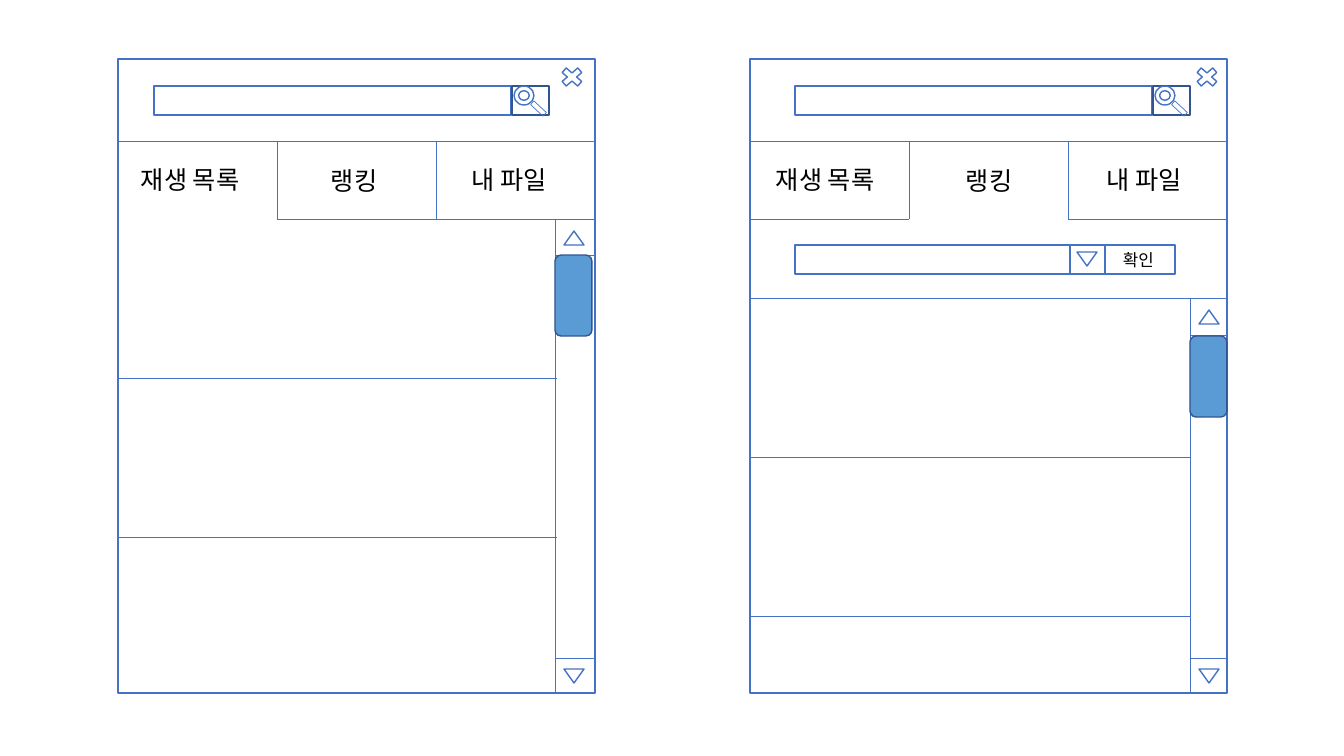
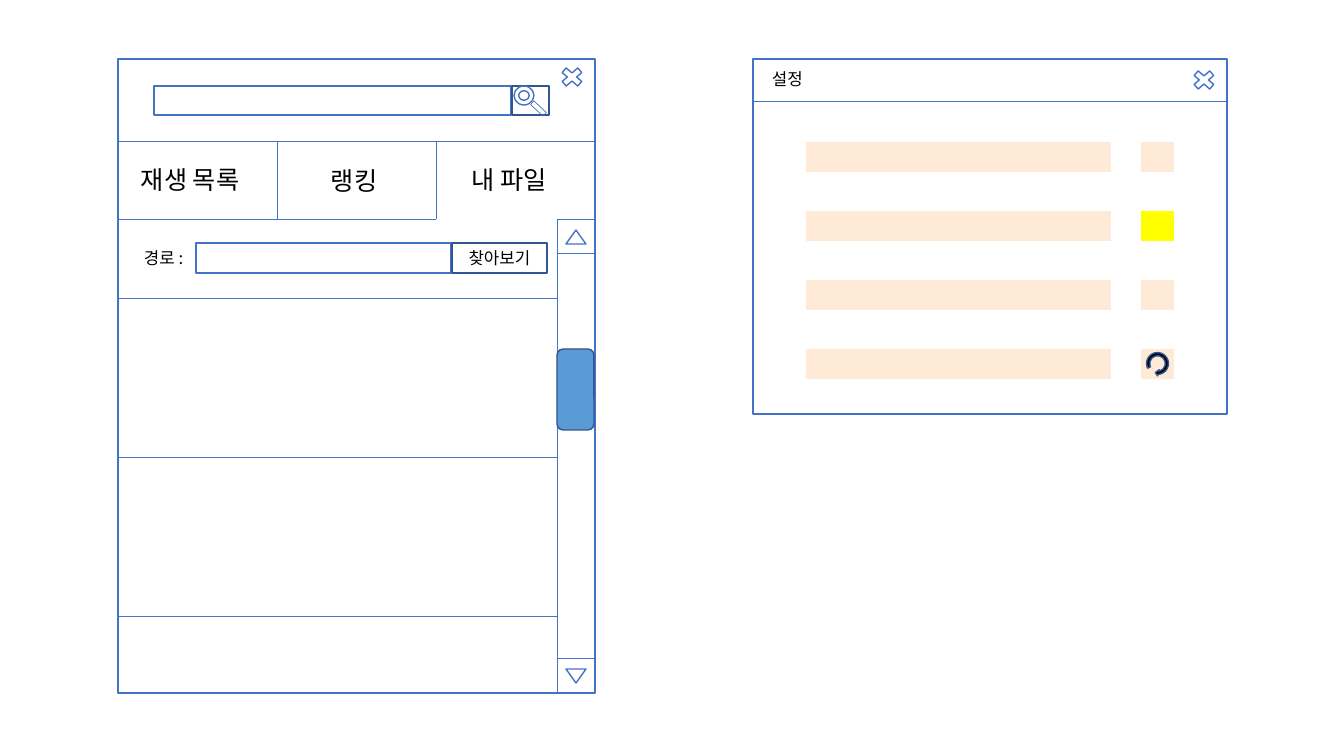
import dataclasses

import lxml.etree
import pptx
import pptx.dml.color
import pptx.enum.shapes
import pptx.enum.text
import pptx.oxml.ns
import pptx.util

SHAPE = pptx.enum.shapes.MSO_SHAPE
PIXELS_PER_INCH = 100.8
WINDOW_TOP, WINDOW_BOTTOM = 59, 693
WINDOW_WIDTH = 477
TAB_TOP, TAB_BOTTOM, TAB_WIDTH = 141, 219, 159
TAB_LABELS = (("재생 목록", 13, 159, 134), ("랭킹", 203, 160, 109), ("내 파일", 344, 159, 116))
ROW_HEIGHT = 159
FILTER_BOTTOM = 298


@dataclasses.dataclass(frozen=True)
class Theme:
    font: str = "Noto Sans CJK KR"
    ink: str = "000000"
    outline: str = "4472C4"
    dark_outline: str = "325491"
    thumb: str = "5B9BD5"
    option: str = "FFE9D7"
    selected: str = "FFFF00"
    paper: str = "FFFFFF"
    tab_size: int = 18
    label_size: int = 12
    border: float = 1
    divider: float = 0.5


THEME = Theme()


def px(value):
    return pptx.util.Inches(value / PIXELS_PER_INCH)


def rgb(value):
    return pptx.dml.color.RGBColor.from_string(value)


def apply(target, formats):
    for name, value in formats.items():
        setattr(target, name, value)


def draw_shape(slide, kind, left, top, width, height, line=THEME.outline,
               fill=None, weight=THEME.border, rotation=0):
    shape = slide.shapes.add_shape(kind, px(left), px(top), px(width), px(height))
    shape.shadow.inherit = False
    shape.rotation = rotation
    if fill:
        shape.fill.solid()
        shape.fill.fore_color.rgb = rgb(fill)
    else:
        shape.fill.background()
    shape.line.color.rgb = rgb(line)
    shape.line.width = pptx.util.Pt(weight)
    return shape


def draw_divider(slide, x1, y1, x2, y2):
    divider = slide.shapes.add_connector(
        pptx.enum.shapes.MSO_CONNECTOR.STRAIGHT, px(x1), px(y1), px(x2), px(y2))
    divider.line.color.rgb = rgb(THEME.outline)
    divider.line.width = pptx.util.Pt(THEME.divider)
    lxml.etree.SubElement(divider._element.spPr, pptx.oxml.ns.qn("a:effectLst"))


def write(frame, text, size, formats):
    apply(frame, formats)
    run = frame.paragraphs[0].add_run()
    run.text = text
    apply(run.font, {"name": THEME.font, "size": pptx.util.Pt(size)})
    run.font.color.rgb = rgb(THEME.ink)
    east_asian = lxml.etree.SubElement(run._r.get_or_add_rPr(), pptx.oxml.ns.qn("a:ea"))
    east_asian.set("typeface", THEME.font)


def draw_label(slide, text, left, top, width, height=30, size=THEME.label_size):
    label = slide.shapes.add_textbox(px(left), px(top), px(width), px(height))
    write(label.text_frame, text, size, {
        "word_wrap": True,
        "auto_size": pptx.enum.text.MSO_AUTO_SIZE.SHAPE_TO_FIT_TEXT,
    })


def draw_close(slide, left, top):
    draw_shape(slide, SHAPE.MATH_MULTIPLY, left, top, 30, 26)


def draw_arrow(slide, left, top, rotation=0):
    draw_shape(slide, SHAPE.ISOSCELES_TRIANGLE, left, top, 20, 14, rotation=rotation)


def draw_search(slide, left):
    top = 86
    draw_shape(slide, SHAPE.RECTANGLE, left, top, 357, 29)
    draw_shape(slide, SHAPE.RECTANGLE, left + 358, top, 37, 29, THEME.dark_outline)
    draw_shape(slide, SHAPE.DONUT, left + 360, top, 20, 19)
    draw_shape(slide, SHAPE.RECTANGLE, left + 382, top + 14, 5, 17,
               weight=THEME.divider, rotation=313.1)


def draw_tabs(slide, left, active, label_shift):
    draw_divider(slide, left, TAB_TOP, left + WINDOW_WIDTH, TAB_TOP)
    for index, (text, offset, top, width) in enumerate(TAB_LABELS):
        tab_left = left + index * TAB_WIDTH
        if index:
            draw_divider(slide, tab_left, TAB_TOP, tab_left, TAB_BOTTOM)
        if index != active:
            draw_divider(slide, tab_left, TAB_BOTTOM, tab_left + TAB_WIDTH, TAB_BOTTOM)
        draw_label(slide, text, left + offset + label_shift, top, width, 40, THEME.tab_size)


def draw_player(slide, left, active, search_offset=36, close_offset=439, label_shift=0):
    draw_shape(slide, SHAPE.RECTANGLE, left, WINDOW_TOP, WINDOW_WIDTH,
               WINDOW_BOTTOM - WINDOW_TOP)
    draw_search(slide, left + search_offset)
    draw_close(slide, left + close_offset, 64)
    draw_tabs(slide, left, active, label_shift)


def draw_scrollbar(slide, left, right, top, cap_height, thumb_top):
    foot = 658
    draw_divider(slide, left, top, left, WINDOW_BOTTOM)
    for y in (top, top + cap_height, foot):
        draw_divider(slide, left, y, right, y)
    draw_arrow(slide, left + 9, top + cap_height // 3)
    draw_arrow(slide, left + 9, foot + 11, 180)
    draw_shape(slide, SHAPE.ROUNDED_RECTANGLE, left, thumb_top, 37, 81,
               THEME.dark_outline, THEME.thumb)


def draw_rows(slide, left, right, first, count):
    for index in range(count):
        y = first + index * ROW_HEIGHT
        draw_divider(slide, left, y, right, y)


def draw_ranking_filter(slide):
    top = 245
    for left, width in ((795, 275), (1070, 35), (1105, 70)):
        draw_shape(slide, SHAPE.RECTANGLE, left, top, width, 29)
    draw_arrow(slide, 1077, 252, 180)
    draw_label(slide, "확인", 1113, top, 56)


def draw_folder_picker(slide):
    top = 243
    draw_label(slide, "경로 :", 134, top, 75)
    draw_shape(slide, SHAPE.RECTANGLE, 196, top, 255, 30)
    browse = draw_shape(slide, SHAPE.RECTANGLE, 452, top, 95, 30, THEME.dark_outline)
    write(browse.text_frame, "찾아보기", THEME.label_size, {
        "word_wrap": True,
        "vertical_anchor": pptx.enum.text.MSO_ANCHOR.MIDDLE,
    })
    browse.text_frame.paragraphs[0].alignment = pptx.enum.text.PP_ALIGN.CENTER


def draw_settings(slide):
    left, right = 753, 1227
    draw_shape(slide, SHAPE.RECTANGLE, left, WINDOW_TOP, right - left, 355)
    draw_divider(slide, left, 101, right, 101)
    draw_close(slide, 1189, 67)
    draw_label(slide, "설정", 762, 64, 86)
    swatches = (THEME.option, THEME.selected, THEME.option, THEME.option)
    for index, swatch in enumerate(swatches):
        top = 141 + index * 69
        draw_shape(slide, SHAPE.RECTANGLE, 805, top, 307, 32, THEME.paper, THEME.option)
        draw_shape(slide, SHAPE.RECTANGLE, 1140, top, 35, 32, THEME.paper, swatch)
    reset = draw_shape(slide, SHAPE.CIRCULAR_ARROW, 1145, 351, 25, 25,
                       THEME.dark_outline, THEME.ink, rotation=103.6)
    for index, value in enumerate((0.125, 11.42, 204.58, 30.59, 0.125)):
        reset.adjustments[index] = value


def draw_list_slide(slide):
    draw_player(slide, 118, active=0)
    draw_rows(slide, 119, 557, TAB_BOTTOM + ROW_HEIGHT, 2)
    draw_scrollbar(slide, 555, 594, TAB_BOTTOM, 36, 255)
    draw_player(slide, 750, active=1, search_offset=45, close_offset=442, label_shift=3)
    draw_ranking_filter(slide)
    draw_rows(slide, 751, 1191, FILTER_BOTTOM, 3)
    draw_scrollbar(slide, 1190, 1227, FILTER_BOTTOM, 37, 336)


def draw_files_slide(slide):
    draw_player(slide, 118, active=2)
    draw_folder_picker(slide)
    draw_rows(slide, 118, 558, FILTER_BOTTOM, 3)
    draw_scrollbar(slide, 557, 594, TAB_BOTTOM, 34, 349)
    draw_settings(slide)


def main():
    deck = pptx.Presentation()
    apply(deck, {"slide_width": px(1344), "slide_height": px(756)})
    blank = deck.slide_layouts[6]
    for draw in (draw_list_slide, draw_files_slide):
        draw(deck.slides.add_slide(blank))
    deck.save("out.pptx")


main()
